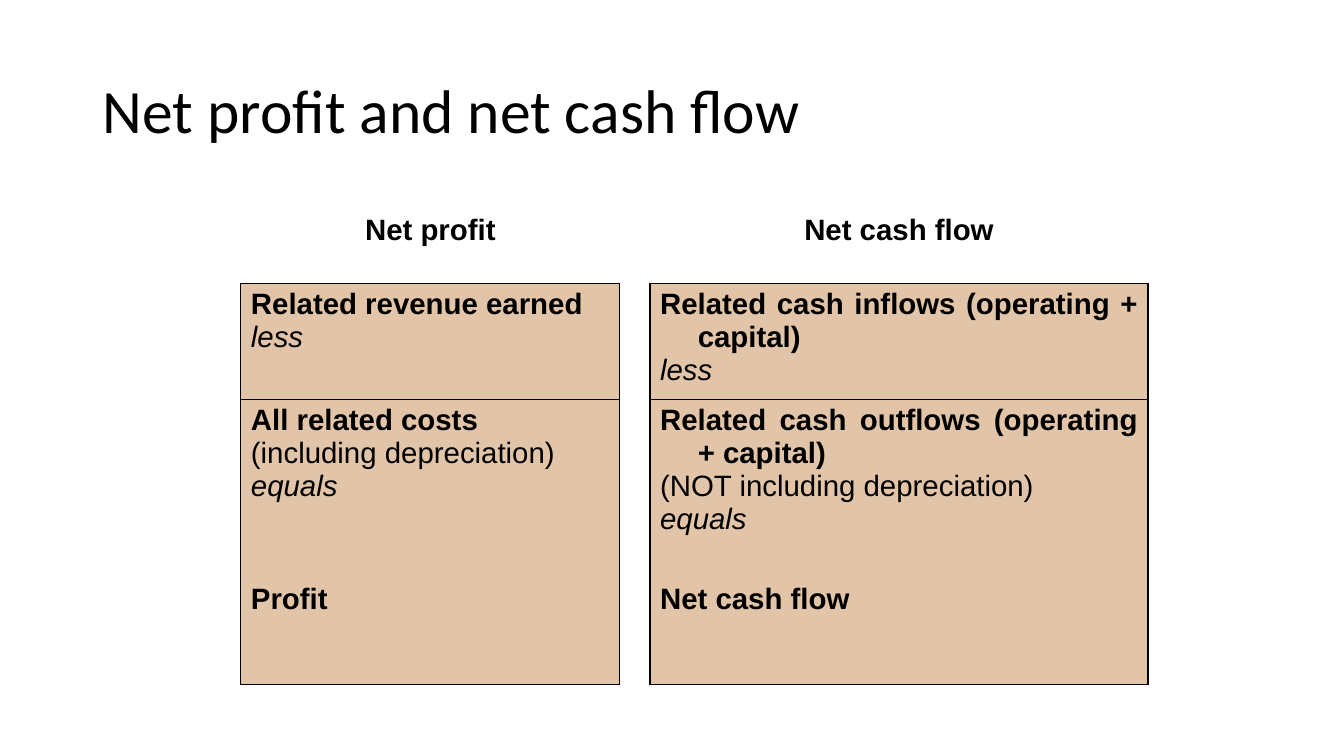
import dataclasses

import lxml.etree
import pptx
import pptx.dml.color
import pptx.enum.text
import pptx.oxml.ns
import pptx.util

Cm = pptx.util.Cm
Pt = pptx.util.Pt
Align = pptx.enum.text.PP_ALIGN
Anchor = pptx.enum.text.MSO_ANCHOR
qn = pptx.oxml.ns.qn

BLACK = pptx.dml.color.RGBColor(0x00, 0x00, 0x00)
TAN = pptx.dml.color.RGBColor(0xE2, 0xC5, 0xA8)
PLAIN = "{2D5ABB26-0587-4C30-8999-92F81FD0307C}"
INDENT = Cm(0.95)
WIDTHS = (9.55, 0.76, 12.55)
HEIGHTS = (2.69, 2.92, 4.5, 2.69)

HEADING = {"name": "Calibri", "size": Pt(44)}
BASE = {"name": "Arial", "size": Pt(21)}
STYLES = {
    "bold": {**BASE, "bold": True},
    "plain": {**BASE, "bold": False},
    "slant": {**BASE, "bold": False, "italic": True},
}


@dataclasses.dataclass(frozen=True)
class Line:
    text: str
    style: str = "bold"


@dataclasses.dataclass(frozen=True)
class Entry:
    row: int
    col: int
    lines: tuple[Line, ...]


LESS = Line("less", "slant")
EQUALS = Line("equals", "slant")
ENTRIES = (
    Entry(0, 0, (Line("Net profit"),)),
    Entry(0, 2, (Line("Net cash flow"),)),
    Entry(1, 0, (Line("Related revenue earned"), LESS)),
    Entry(1, 2, (Line("Related cash inflows (operating + capital)"), LESS)),
    Entry(2, 0, (Line("All related costs"),
                 Line("(including depreciation)", "plain"), EQUALS)),
    Entry(2, 2, (Line("Related cash outflows (operating + capital)"),
                 Line("(NOT including depreciation)", "plain"), EQUALS)),
    Entry(3, 0, (Line("Profit"),)),
    Entry(3, 2, (Line("Net cash flow"),)),
)


def add_run(para: pptx.text.text._Paragraph, text: str, style: dict) -> None:
    run = para.add_run()
    run.text = text
    for key, value in style.items():
        setattr(run.font, key, value)
    run.font.color.rgb = BLACK


def add_title(slide: pptx.slide.Slide) -> None:
    box = slide.shapes.add_textbox(Cm(2.34), Cm(1.02), Cm(29.21), Cm(3.68))
    frame = box.text_frame
    frame.word_wrap = True
    frame.vertical_anchor = Anchor.MIDDLE
    para = frame.paragraphs[0]
    para.line_spacing = 0.9
    add_run(para, "Net profit and net cash flow", HEADING)


def add_edges(cell: pptx.table._Cell, sides: str) -> None:
    props = cell._tc.get_or_add_tcPr()
    for place, side in enumerate(sides):
        edge = lxml.etree.Element(qn(f"a:ln{side}"), w=str(Pt(1)))
        fill = lxml.etree.SubElement(edge, qn("a:solidFill"))
        lxml.etree.SubElement(fill, qn("a:srgbClr"), val=str(BLACK))
        props.insert(place, edge)


def fill_cell(cell: pptx.table._Cell, entry: Entry) -> None:
    head = entry.row == 0
    if head:
        cell.vertical_anchor = Anchor.MIDDLE
    else:
        cell.fill.solid()
        cell.fill.fore_color.rgb = TAN
    add_edges(cell, ("B", "LRT", "LR", "LRB")[entry.row])
    frame = cell.text_frame
    for place, line in enumerate(entry.lines):
        para = frame.add_paragraph() if place else frame.paragraphs[0]
        para.alignment = Align.CENTER if head else Align.JUSTIFY
        props = para._p.get_or_add_pPr()
        props.set("marL", str(INDENT))
        props.set("indent", str(-INDENT))
        add_run(para, line.text, STYLES[line.style])


def add_grid(slide: pptx.slide.Slide) -> None:
    frame = slide.shapes.add_table(
        len(HEIGHTS), len(WIDTHS), Cm(6.07), Cm(4.45),
        Cm(sum(WIDTHS)), Cm(sum(HEIGHTS)))
    table = frame.table
    table.first_row = False
    table.horz_banding = False
    table._tbl.tblPr.find(qn("a:tableStyleId")).text = PLAIN
    for col, width in zip(table.columns, WIDTHS):
        col.width = Cm(width)
    for row, height in zip(table.rows, HEIGHTS):
        row.height = Cm(height)
    for cell in table.iter_cells():
        cell.fill.background()
    for entry in ENTRIES:
        fill_cell(table.cell(entry.row, entry.col), entry)


def main() -> None:
    deck = pptx.Presentation()
    deck.slide_width = Cm(33.87)
    deck.slide_height = Cm(19.05)
    slide = deck.slides.add_slide(deck.slide_layouts[6])
    add_title(slide)
    add_grid(slide)
    deck.save("out.pptx")


if __name__ == "__main__":
    main()
